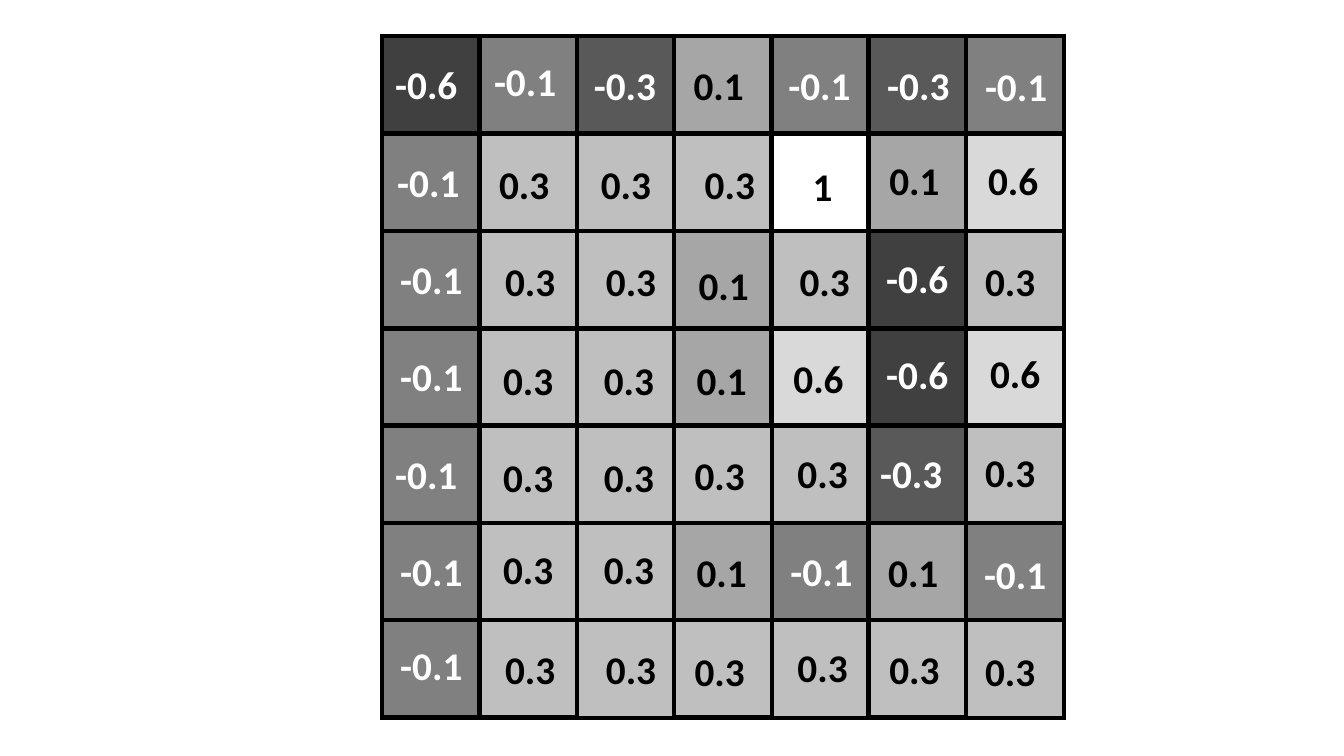
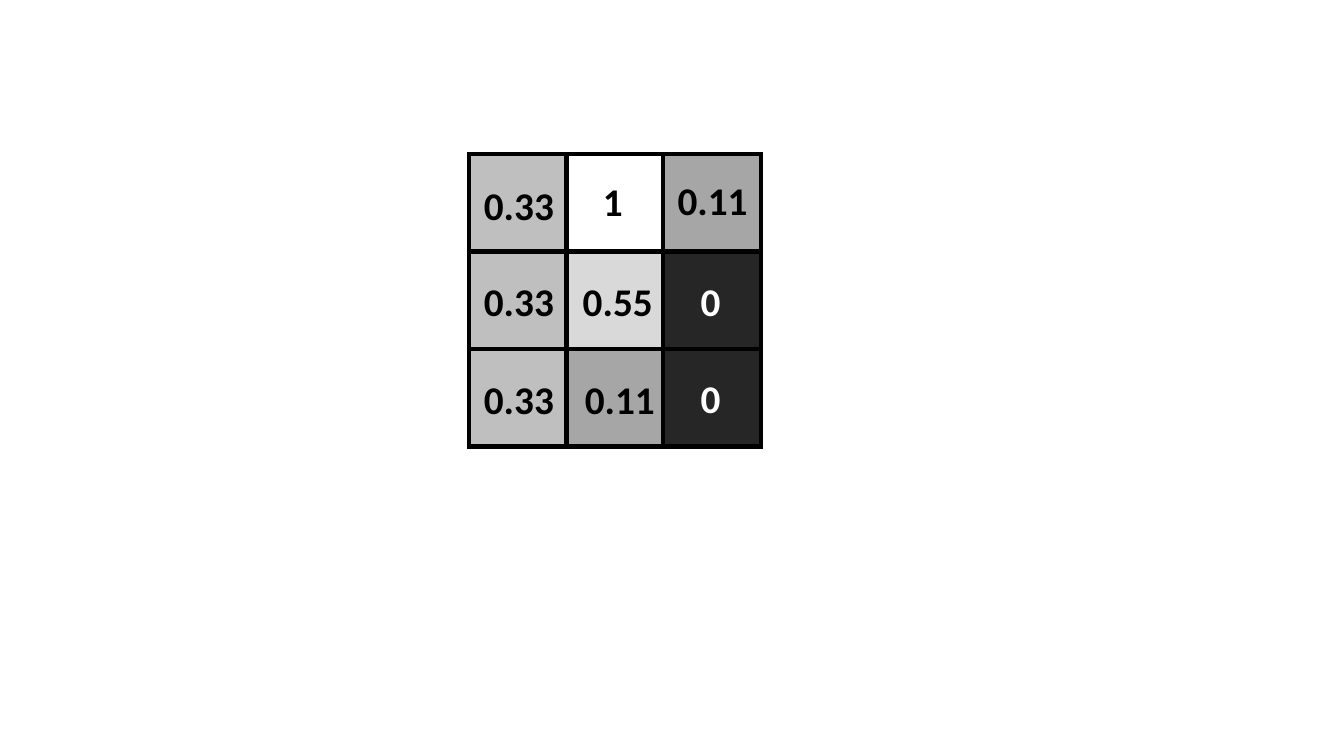
import lxml.etree
import pptx
import pptx.dml.color
import pptx.enum.shapes
import pptx.enum.text
import pptx.oxml.ns
import pptx.util

Inches = pptx.util.Inches
COLORS = {
    "black": "000000", "white": "FFFFFF",
    "0": "262626", "-0.6": "404040", "-0.3": "595959", "-0.1": "808080",
    "0.1": "A6A6A6", "0.11": "A6A6A6", "0.3": "BFBFBF", "0.33": "BFBFBF",
    "0.55": "D9D9D9", "0.6": "D9D9D9", "1": "FFFFFF",
}

FEATURE_MAP = [
    [("-0.6", 3.82, 0.55), ("-0.1", 4.8, 0.52), ("-0.3", 5.79, 0.56), ("0.1", 6.78, 0.56),
     ("-0.1", 7.72, 0.56), ("-0.3", 8.7, 0.56), ("-0.1", 9.67, 0.57)],
    [("-0.1", 3.84, 1.52), ("0.3", 4.85, 1.54), ("0.3", 5.86, 1.54), ("0.3", 6.89, 1.54),
     ("1", 7.96, 1.56), ("0.1", 8.72, 1.5), ("0.6", 9.7, 1.5)],
    [("-0.1", 3.87, 2.48), ("0.3", 4.91, 2.5), ("0.3", 5.91, 2.5), ("0.1", 6.83, 2.54),
     ("0.3", 7.83, 2.5), ("-0.6", 8.69, 2.47), ("0.3", 9.67, 2.5)],
    [("-0.1", 3.87, 3.45), ("0.3", 4.89, 3.48), ("0.3", 5.89, 3.48), ("0.1", 6.81, 3.48),
     ("0.6", 7.77, 3.46), ("-0.6", 8.69, 3.43), ("0.6", 9.72, 3.42)],
    [("-0.1", 3.82, 4.42), ("0.3", 4.89, 4.45), ("0.3", 5.89, 4.45), ("0.3", 6.79, 4.43),
     ("0.3", 7.81, 4.41), ("-0.3", 8.63, 4.41), ("0.3", 9.67, 4.4)],
    [("-0.1", 3.87, 5.38), ("0.3", 4.89, 5.36), ("0.3", 5.89, 5.36), ("0.1", 6.81, 5.39),
     ("-0.1", 7.74, 5.38), ("0.1", 8.71, 5.39), ("-0.1", 9.66, 5.41)],
    [("-0.1", 3.87, 6.31), ("0.3", 4.91, 6.35), ("0.3", 5.91, 6.35), ("0.3", 6.79, 6.37),
     ("0.3", 7.81, 6.33), ("0.3", 8.72, 6.35), ("0.3", 9.67, 6.37)],
]
POOLED_MAP = [
    [("0.33", 4.7, 1.75), ("1", 5.88, 1.71), ("0.11", 6.62, 1.7)],
    [("0.33", 4.7, 2.7), ("0.55", 5.68, 2.7), ("0", 6.85, 2.7)],
    [("0.33", 4.7, 3.67), ("0.11", 5.7, 3.67), ("0", 6.85, 3.66)],
]


class Deck:
    font = "Calibri"
    font_size = pptx.util.Pt(28)
    border = pptx.util.Pt(3)
    inset_x, inset_y = 0.1, 0.05
    size = 0.97

    def __init__(self):
        self.prs = pptx.Presentation()
        self.prs.slide_width = Inches(13.33)
        self.prs.slide_height = Inches(7.5)
        self.slide = None

    def color(self, name):
        return pptx.dml.color.RGBColor.from_string(COLORS[name])

    def add_slide(self):
        self.slide = self.prs.slides.add_slide(self.prs.slide_layouts[6])

    def rect(self, left, top, width, height):
        sp = self.slide.shapes.add_shape(
            pptx.enum.shapes.MSO_SHAPE.RECTANGLE,
            Inches(left), Inches(top), Inches(width), Inches(height))
        sp.shadow.inherit = False
        return sp

    def frame(self, left, top, width, height):
        sp = self.rect(left, top, width, height)
        sp.fill.background()
        sp.line.color.rgb = self.color("black")
        sp.line.width = self.border
        ln = sp._element.spPr.find(pptx.oxml.ns.qn("a:ln"))
        lxml.etree.SubElement(ln, pptx.oxml.ns.qn("a:miter"), lim="800000")

    def cell(self, left, top, value, text_left, text_top):
        sp = self.rect(left, top, self.size, self.size)
        sp.fill.solid()
        sp.fill.fore_color.rgb = self.color(value)
        sp.line.fill.background()
        tf = sp.text_frame
        tf.word_wrap = True
        tf.vertical_anchor = pptx.enum.text.MSO_ANCHOR.TOP
        tf.margin_left = Inches(text_left - left + self.inset_x)
        tf.margin_top = Inches(text_top - top + self.inset_y)
        tf.margin_right = tf.margin_bottom = 0
        tf.text = value
        p = tf.paragraphs[0]
        p.alignment = pptx.enum.text.PP_ALIGN.LEFT
        r = p.runs[0]
        r.font.name = self.font
        r.font.size = self.font_size
        r.font.bold = True
        dark = value == "0" or value.startswith("-")
        r.font.color.rgb = self.color("white" if dark else "black")

    def matrix(self, left, top, side, rows, row_spans, column_spans):
        pitch = (side - self.size) / (len(rows) - 1)
        for i, row in enumerate(rows):
            for j, label in enumerate(row):
                self.cell(left + j * pitch, top + i * pitch, *label)
        for i, span in row_spans.items():
            length = self.size + (span - 1) * pitch
            self.frame(left, top + i * pitch, length, self.size)
        for j, span in column_spans.items():
            length = self.size + (span - 1) * pitch
            self.frame(left + j * pitch, top, self.size, length)

    def save(self):
        self.prs.save("out.pptx")


def main():
    deck = Deck()
    deck.add_slide()
    deck.matrix(3.79, 0.36, 6.76, FEATURE_MAP,
                row_spans={0: 4, 1: 7, 2: 7, 3: 7, 4: 7, 5: 7, 6: 7},
                column_spans={0: 7, 1: 7, 3: 7, 4: 4, 5: 7, 6: 4})
    deck.add_slide()
    deck.matrix(4.65, 1.53, 2.9, POOLED_MAP,
                row_spans={0: 3, 1: 3, 2: 3}, column_spans={0: 3, 2: 3})
    deck.save()


if __name__ == "__main__":
    main()
